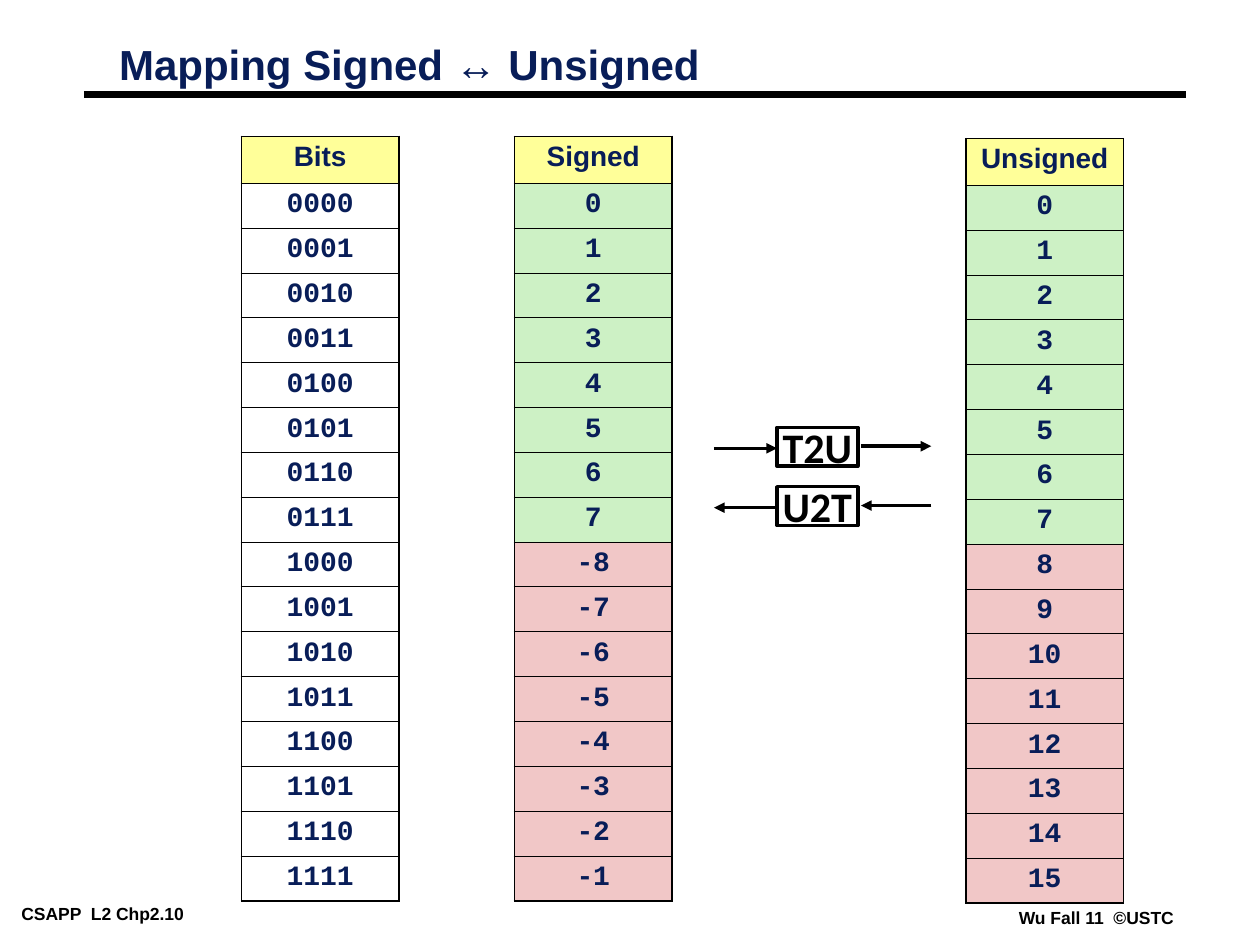
from lxml.etree import SubElement
from pptx import Presentation
from pptx.dml.color import RGBColor
from pptx.enum.shapes import MSO_CONNECTOR as Connector, MSO_SHAPE as Shape
from pptx.enum.text import MSO_ANCHOR as Anchor, MSO_AUTO_SIZE as AutoSize, PP_ALIGN as Align
from pptx.oxml.ns import qn
from pptx.util import Inches, Pt

BLACK = RGBColor(0x00, 0x00, 0x00)
WHITE = RGBColor(0xFF, 0xFF, 0xFF)
NAVY = RGBColor(0x08, 0x1D, 0x58)
YELLOW = RGBColor(0xFF, 0xFF, 0x99)
GREEN = RGBColor(0xCD, 0xF1, 0xC5)
PINK = RGBColor(0xF1, 0xC7, 0xC7)

COLUMNS, ROWS = 120, 90
BITS = 4
HALF, COUNT = 2 ** (BITS - 1), 2 ** BITS


class Board:
    """Holds the style and the slide; lengths are columns and rows of the grid."""

    heading, code, label = "Arial", "Courier New", "Calibri"
    outer, inner = 1.08, 0.45

    def __init__(self, deck):
        """Add a blank slide and measure its grid."""
        self.slide = deck.slides.add_slide(deck.slide_layouts[6])
        self.column = deck.slide_width / COLUMNS
        self.row = deck.slide_height / ROWS

    def place(self, x, y, *more):
        """Turn grid positions into slide lengths."""
        units = (self.column, self.row) * 2
        return [round(n * unit) for n, unit in zip((x, y, *more), units)]

    def add_words(self, paragraph, words, font, size, color):
        """Add one bold run to a paragraph."""
        run = paragraph.add_run()
        run.text = words
        run.font.name, run.font.size, run.font.bold = font, Pt(size), True
        run.font.color.rgb = color

    def text(self, words, box, size, color=BLACK, wrap=False, spacing=1.0):
        """Add a text box."""
        frame = self.slide.shapes.add_textbox(*self.place(*box)).text_frame
        frame.word_wrap, frame.auto_size = wrap, AutoSize.SHAPE_TO_FIT_TEXT
        frame.margin_left = frame.margin_right = Inches(0.07)
        frame.margin_top = frame.margin_bottom = Inches(0.03)
        paragraph = frame.paragraphs[0]
        paragraph.line_spacing = spacing
        self.add_words(paragraph, words, self.heading, size, color)

    def line(self, start, end, width, arrow=False):
        """Add a straight line, with an arrowhead at its end if asked."""
        line = self.slide.shapes.add_connector(
            Connector.STRAIGHT, *self.place(*start, *end))
        line.line.color.rgb, line.line.width = BLACK, Pt(width)
        properties = line._element.spPr
        if arrow:
            SubElement(properties.find(qn("a:ln")), qn("a:tailEnd"), type="triangle")
        SubElement(properties, qn("a:effectLst"))

    def box(self, words, box):
        """Add a framed operation box."""
        shape = self.slide.shapes.add_shape(Shape.RECTANGLE, *self.place(*box))
        shape.shadow.inherit = False
        shape.fill.solid()
        shape.fill.fore_color.rgb = WHITE
        shape.line.color.rgb, shape.line.width = BLACK, Pt(2)
        frame = shape.text_frame
        frame.word_wrap, frame.vertical_anchor = False, Anchor.MIDDLE
        frame.paragraphs[0].alignment = Align.CENTER
        self.add_words(frame.paragraphs[0], words, self.label, 24, BLACK)

    def borders(self, cell, top, bottom):
        """Draw the four borders of a cell."""
        properties = cell._tc.get_or_add_tcPr()
        widths = {"L": self.outer, "R": self.outer, "T": top, "B": bottom}
        for side, width in widths.items():
            edge = SubElement(properties, qn(f"a:ln{side}"), w=str(int(Pt(width))))
            fill = SubElement(edge, qn("a:solidFill"))
            SubElement(fill, qn("a:srgbClr"), val=str(BLACK))

    def table(self, title, values, box, fills):
        """Add a one-column table: a heading, then a value in each row."""
        entries = [title, *values]
        table = self.slide.shapes.add_table(len(entries), 1, *self.place(*box)).table
        table.first_row = table.horz_banding = False
        for index, (words, fill) in enumerate(zip(entries, [YELLOW, *fills])):
            first, last = index == 0, index == len(entries) - 1
            table.rows[index].height = Pt(26.7 if first else 25.63)
            cell = table.cell(index, 0)
            cell.margin_left = cell.margin_right = Inches(0.05)
            cell.margin_top = cell.margin_bottom = Inches(0.05)
            self.borders(cell, self.outer if first else self.inner,
                         self.outer if last else self.inner)
            if fill is None:
                cell.fill.background()
            else:
                cell.fill.solid()
                cell.fill.fore_color.rgb = fill
            paragraph = cell.text_frame.paragraphs[0]
            paragraph.alignment = Align.CENTER
            paragraph.line_spacing, paragraph.space_before = 0.95, Pt(10)
            self.add_words(paragraph, words, self.heading if first else self.code, 16, NAVY)


def main():
    """Build the slide and save it."""
    deck = Presentation()
    deck.slide_width, deck.slide_height = Inches(10), Inches(7.5)
    board = Board(deck)

    board.text("CSAPP  L2 Chp2.10", (1.2, 85.6, 23.4, 2.6), 10)
    board.text("Wu Fall 11  ©USTC", (96.2, 86, 16.6, 2.6), 10)
    board.line((8, 9), (113, 9), 4.5)
    board.text("Mapping Signed ↔ Unsigned", (10.5, 4, 57.1, 4.8), 24, NAVY, True, 0.87)

    patterns = range(COUNT)
    halves = [GREEN] * HALF + [PINK] * HALF
    signed = [str(n if n < HALF else n - COUNT) for n in patterns]
    board.table("Signed", signed, (49, 13, 15, 72.8), halves)
    board.table("Unsigned", map(str, patterns), (92, 13.2, 15, 72.8), halves)
    board.table("Bits", [f"{n:0{BITS}b}" for n in patterns],
                (23, 13, 15, 72.8), [None] * COUNT)

    for name, top, step in (("U2T", 46.35, -1), ("T2U", 40.7, 1)):
        board.box(name, (74, top, 7.7, 3.7))
        for left, right, drop in ((68, 74, 2), (82, 88.7, 1.8)):
            ends = [(left, top + drop), (right, top + drop)]
            board.line(*ends[::step], 2, arrow=True)

    deck.save("out.pptx")


main()
